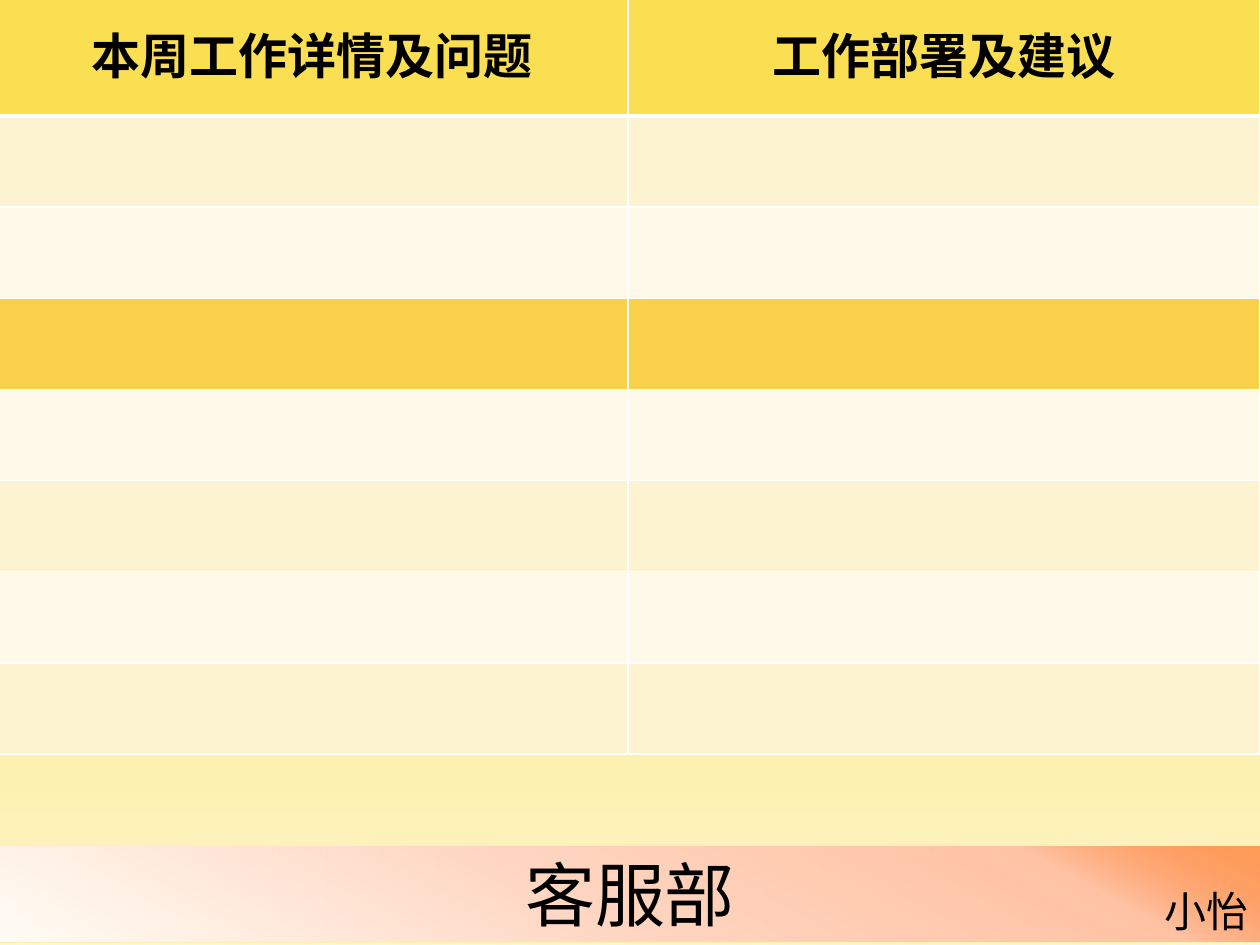
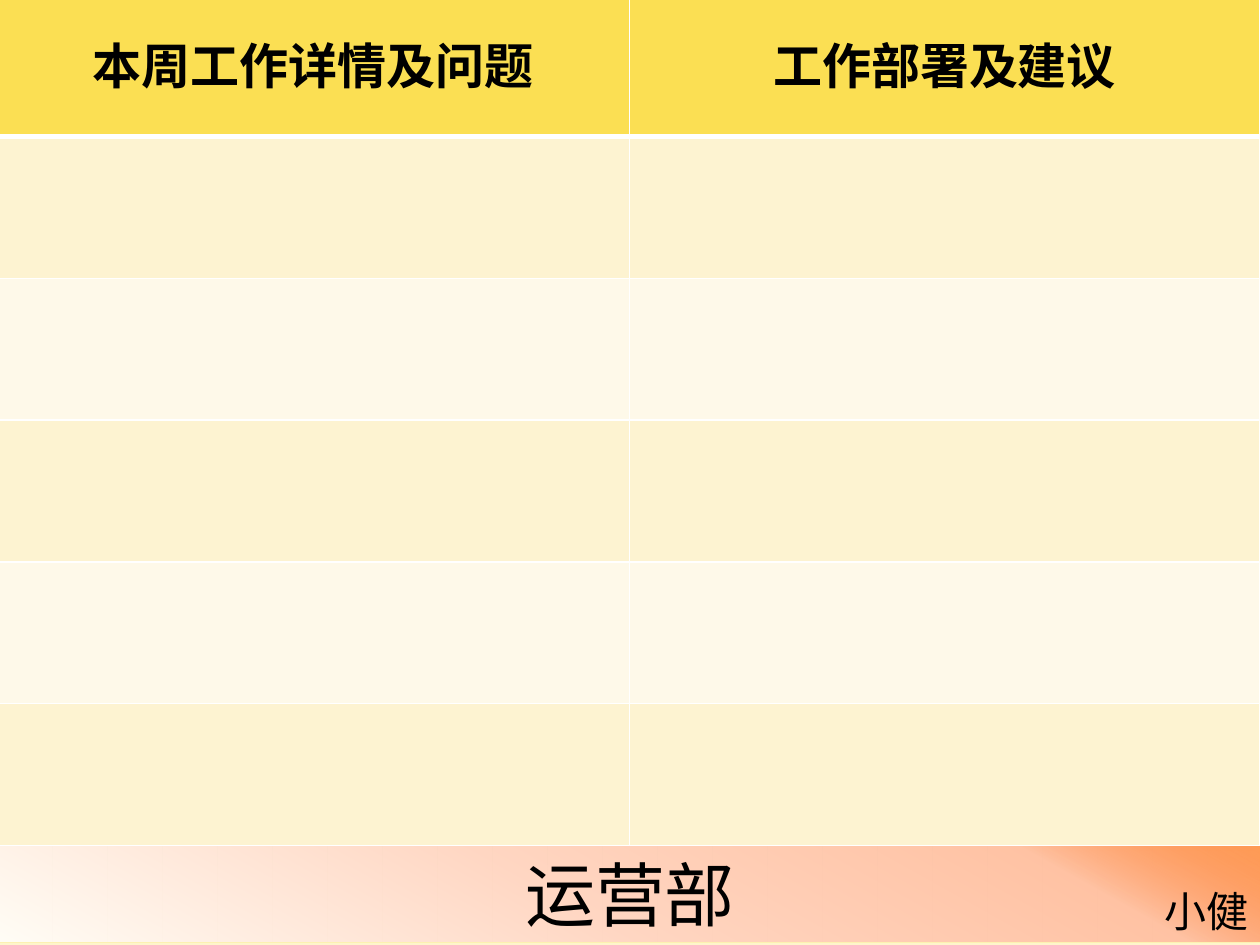
from lxml.etree import SubElement
from pptx import Presentation
from pptx.dml.color import RGBColor
from pptx.enum.text import MSO_ANCHOR, MSO_AUTO_SIZE, PP_ALIGN
from pptx.oxml.ns import qn
from pptx.util import Pt

# Content
HEADERS = ["本周工作详情及问题", "工作部署及建议"]
SAND, CREAM, AMBER = "FDF3D1", "FEF9E9", "FAD14B"
SLIDES = [
    {"department": "客服部", "person": "小怡", "cols": [361, 361],
     "header_height": 69.2, "row_height": 52.1,
     "bands": [SAND, CREAM, AMBER, CREAM, SAND, CREAM, SAND]},
    {"department": "运营部", "person": "小健", "cols": [362, 360],
     "header_height": 81, "row_height": 81,
     "bands": [SAND, CREAM, SAND, CREAM, SAND]},
]

# Shared look: gradient stops are (position %, colour, opacity %)
FONT, BLACK, WHITE, YELLOW, PALE = "Noto Sans CJK SC", "000000", "FFFFFF", "FBDF53", "FDF1B2"
PAGE_STOPS = [(0, "FFFDF6", 100), (74, PALE, 100), (83, PALE, 100), (100, "FEF5CB", 100)]
BANNER_STOPS = [(0, "FFFDF6", 100), (45, "FFD6C2", 100), (83, "FFC2A3", 100), (100, "FF5D0D", 58)]
BANNER_BOX = (-1.5, 483.1, 723, 55.4)
PERSON_BOX = (658, 502.5, 62.5, 36)
TABLE_LEFT, TABLE_TOP = -2.2, -2.9
HEADER_FORMAT = {"vertical_anchor": MSO_ANCHOR.MIDDLE, "margin_left": Pt(0.75),
                 "margin_top": Pt(0.75), "margin_right": Pt(0.75), "margin_bottom": Pt(3.6)}


def rgb(color):
    return RGBColor.from_string(color)


def set_attrs(obj, values):
    for name, value in values.items():
        setattr(obj, name, value)


def place(sp, box):
    set_attrs(sp, dict(zip(("left", "top", "width", "height"), map(Pt, box))))


def set_gradient(fill, element, stops, angle):
    fill.gradient()
    grad = element.find(".//" + qn("a:gradFill"))
    for child in list(grad):
        grad.remove(child)
    stop_list = SubElement(grad, qn("a:gsLst"))
    for position, color, opacity in stops:
        gs = SubElement(stop_list, qn("a:gs"), pos=str(position * 1000))
        clr = SubElement(gs, qn("a:srgbClr"), val=color)
        if opacity < 100:
            SubElement(clr, qn("a:alpha"), val=str(opacity * 1000))
    SubElement(grad, qn("a:lin"), ang=str(angle * 60000), scaled="0")


def write(tf, text, size, align, bold=False):
    p = tf.paragraphs[0]
    p.alignment = align
    r = p.add_run()
    r.text = text
    set_attrs(r.font, {"name": FONT, "size": Pt(size), "bold": bold})
    r.font.color.rgb = rgb(BLACK)
    SubElement(r.font._element, qn("a:ea"), typeface=FONT)


def style_cell(cell, color, top, bottom):
    # Borders come before the fill in the cell properties
    tc_pr = cell._tc.get_or_add_tcPr()
    for side, width in (("L", 1), ("R", 1), ("T", top), ("B", bottom)):
        ln = SubElement(tc_pr, qn("a:ln" + side), w=str(Pt(width)))
        SubElement(SubElement(ln, qn("a:solidFill")), qn("a:srgbClr"), val=WHITE)
    cell.fill.solid()
    cell.fill.fore_color.rgb = rgb(color)


def add_banner(slide, department, person):
    sp = slide.shapes.title
    place(sp, BANNER_BOX)
    set_gradient(sp.fill, sp._element, BANNER_STOPS, 299)
    sp.line.color.rgb = rgb(PALE)
    sp.line.width = Pt(0.75)
    set_attrs(sp.text_frame, {"auto_size": MSO_AUTO_SIZE.NONE,
                              "vertical_anchor": MSO_ANCHOR.MIDDLE})
    write(sp.text_frame, department, 40, PP_ALIGN.CENTER)

    tf = slide.shapes.add_textbox(*map(Pt, PERSON_BOX)).text_frame
    tf.word_wrap = False
    write(tf, person, 24, PP_ALIGN.RIGHT)


def add_work_table(slide, cols, header_height, row_height, bands):
    heights = [header_height] + [row_height] * len(bands)
    table = slide.shapes.add_table(
        len(heights), len(cols), Pt(TABLE_LEFT), Pt(TABLE_TOP),
        Pt(sum(cols)), Pt(sum(heights))).table
    set_attrs(table, {"first_row": False, "horz_banding": False})
    for column, width in zip(table.columns, cols):
        column.width = Pt(width)
    for i, (row, height, color) in enumerate(zip(table.rows, heights, [YELLOW] + bands)):
        row.height = Pt(height)
        for cell in row.cells:
            style_cell(cell, color, top=3 if i == 1 else 1, bottom=3 if i == 0 else 1)
    for cell, text in zip(table.rows[0].cells, HEADERS):
        set_attrs(cell, HEADER_FORMAT)
        write(cell.text_frame, text, 28, PP_ALIGN.CENTER, bold=True)


def main():
    prs = Presentation()
    set_attrs(prs, {"slide_width": Pt(720), "slide_height": Pt(540)})
    master = prs.slide_master
    set_gradient(master.background.fill, master.element, PAGE_STOPS, 90)
    title_only = prs.slide_layouts[5]
    for data in SLIDES:
        slide = prs.slides.add_slide(title_only)
        add_banner(slide, data["department"], data["person"])
        add_work_table(slide, data["cols"], data["header_height"],
                       data["row_height"], data["bands"])
    prs.save("out.pptx")


if __name__ == "__main__":
    main()
